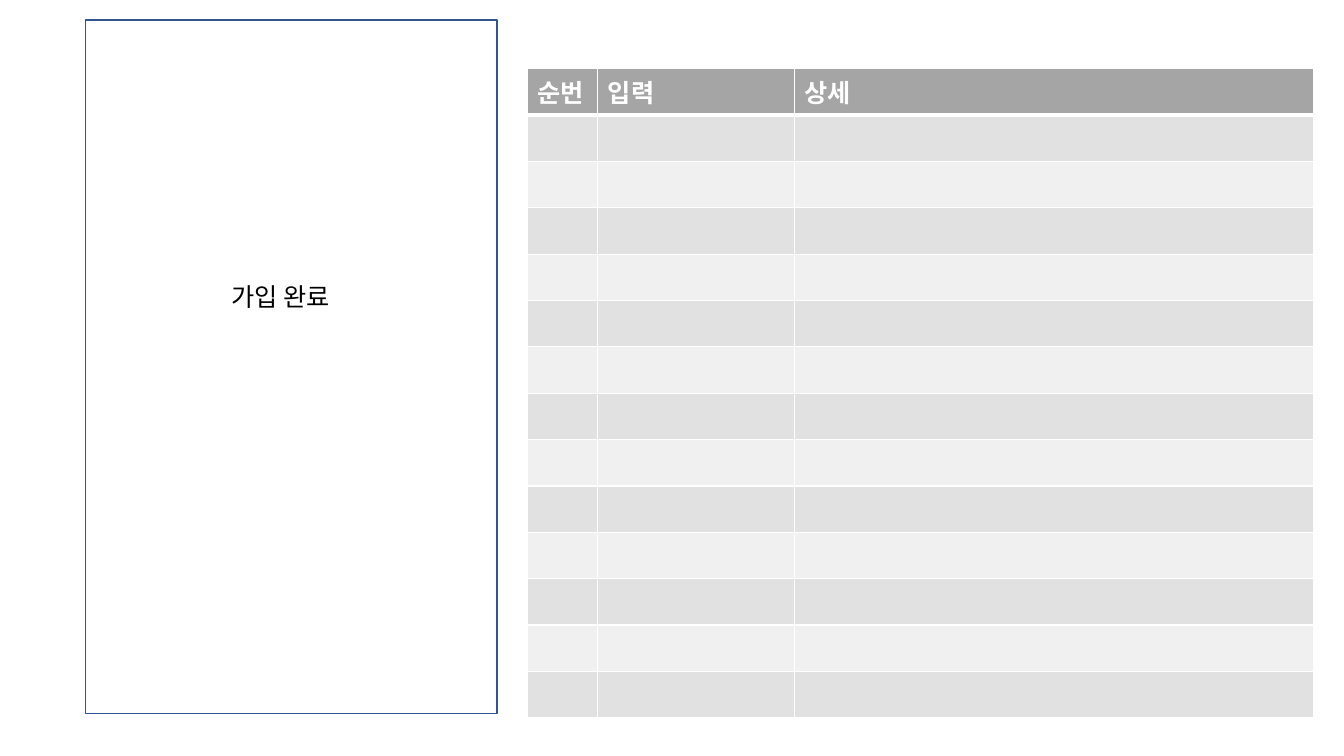
from lxml import etree
from pptx import Presentation
from pptx import util as u
from pptx.dml.color import RGBColor
from pptx.enum import shapes, text
from pptx.oxml.ns import qn

COLORS = {
    "white": "FFFFFF",
    "black": "000000",
    "outline": "325491",
    "header": "A5A5A5",
    "odd": "E1E1E1",
    "even": "F0F0F0",
}
FONT = "Noto Sans CJK KR"


def rgb(name):
    return RGBColor.from_string(COLORS[name])


def write(frame, words, size=18, color="black", bold=False):
    run = frame.paragraphs[0].add_run()
    run.text = words
    run.font.size = u.Pt(size)
    run.font.bold = bold
    run.font.color.rgb = rgb(color)
    run.font.name = FONT
    etree.SubElement(run.font._element, qn("a:ea"), typeface=FONT)


deck = Presentation()
deck.slide_width = u.Inches(13.33)
deck.slide_height = u.Inches(7.5)
slide = deck.slides.add_slide(deck.slide_layouts[6])

screen = slide.shapes.add_shape(
    shapes.MSO_SHAPE.RECTANGLE, u.Inches(0.85), u.Inches(0.2), u.Inches(4.08), u.Inches(6.88)
)
screen.shadow.inherit = False
screen.fill.solid()
screen.fill.fore_color.rgb = rgb("white")
screen.line.color.rgb = rgb("outline")
screen.line.width = u.Pt(1)

headings = ["순번", "입력", "상세"]
column_widths = [0.7, 1.95, 5.15]
row_count = 14
row_height = 0.46
fields = slide.shapes.add_table(
    row_count, len(headings), u.Inches(5.23), u.Inches(0.68),
    u.Inches(sum(column_widths)), u.Inches(row_count * row_height),
).table

for column, width in zip(fields.columns, column_widths):
    column.width = u.Inches(width)

for number, row in enumerate(fields.rows):
    row.height = u.Inches(row_height)
    shade = "header" if number == 0 else "odd" if number % 2 else "even"
    for cell, heading in zip(row.cells, headings):
        cell.fill.solid()
        cell.fill.fore_color.rgb = rgb(shade)
        if number == 0:
            write(cell.text_frame, heading, color="white", bold=True)
        properties = cell._tc.get_or_add_tcPr()
        for position, side in enumerate(["lnL", "lnR", "lnT", "lnB"]):
            thick = (number == 0 and side == "lnB") or (number == 1 and side == "lnT")
            border = etree.Element(qn(f"a:{side}"), w=str(u.Pt(3 if thick else 1)))
            paint = etree.SubElement(border, qn("a:solidFill"))
            etree.SubElement(paint, qn("a:srgbClr"), val=COLORS["white"])
            properties.insert(position, border)

message = slide.shapes.add_textbox(
    u.Inches(2.2), u.Inches(2.74), u.Inches(1.38), u.Inches(0.4)
).text_frame
message.word_wrap = True
message.auto_size = text.MSO_AUTO_SIZE.SHAPE_TO_FIT_TEXT
write(message, "가입 완료")

deck.save("out.pptx")
